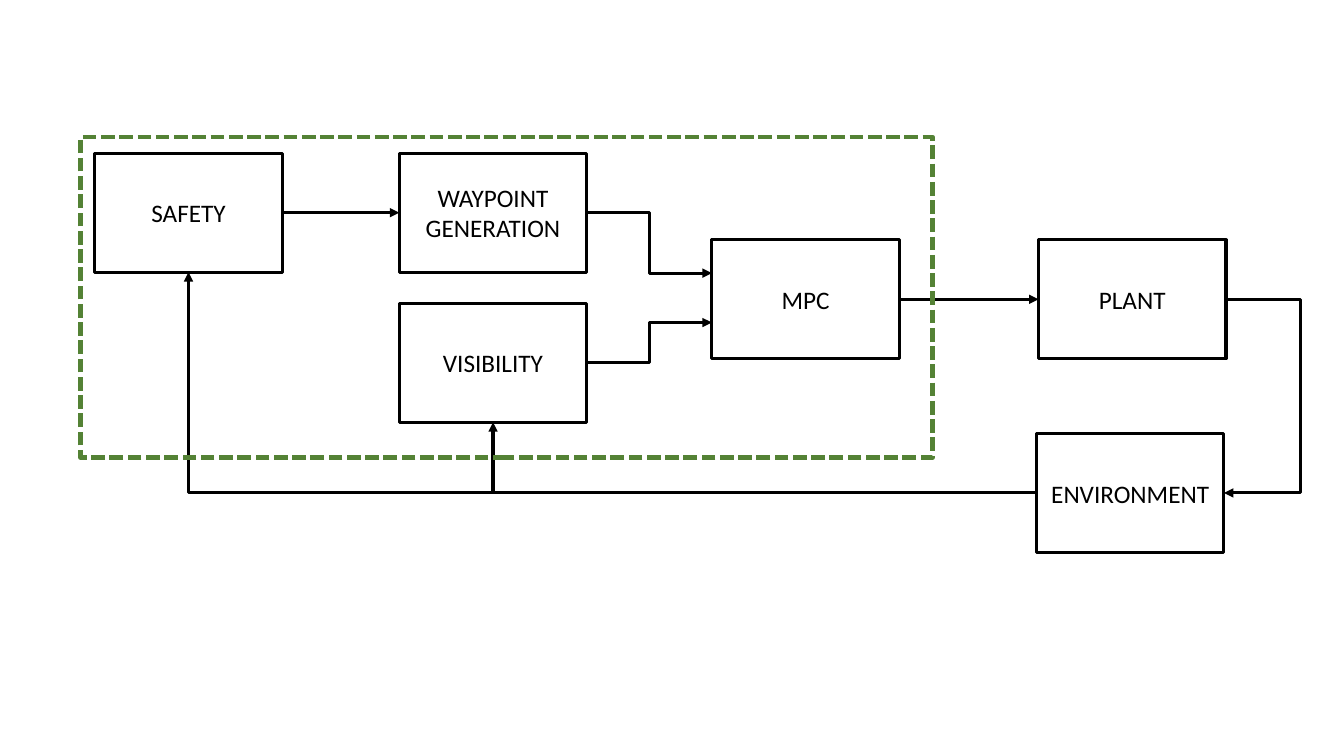
from lxml.etree import SubElement as Sub
from pptx import Presentation
from pptx.dml.color import RGBColor
from pptx.enum.dml import MSO_LINE as Dash
from pptx.enum.shapes import MSO_CONNECTOR as Link, MSO_SHAPE as Form
from pptx.enum.text import MSO_ANCHOR as Anchor, PP_ALIGN as Align
from pptx.oxml.ns import qn
from pptx.util import Inches, Pt

BLACK = RGBColor(0x00, 0x00, 0x00)
WHITE = RGBColor(0xFF, 0xFF, 0xFF)
GREEN = RGBColor(0x54, 0x82, 0x35)

WIDE, HIGH = 1.86, 1.18
BOXES = {
    "PLANT": (10.3, 2.38),
    "MPC": (7.06, 2.38),
    "VISIBILITY": (3.96, 3.01),
    "WAYPOINT GENERATION": (3.96, 1.52),
    "SAFETY": (0.94, 1.52),
    "ENVIRONMENT": (10.28, 4.3),
}


def write(frame, text, font="Calibri", size=18, color=BLACK, align=Align.CENTER):
    frame.word_wrap = True
    frame.vertical_anchor = Anchor.MIDDLE
    para = frame.paragraphs[0]
    para.alignment = align
    run = para.add_run()
    run.text = text
    run.font.name = font
    run.font.size = Pt(size)
    run.font.color.rgb = color


def left(name):
    x, y = BOXES[name]
    return x, y + HIGH / 2


def right(name):
    x, y = left(name)
    return x + WIDE, y


def base(name):
    x, y = BOXES[name]
    return x + WIDE / 2, y + HIGH


class Board:
    def __init__(self, slide, color=BLACK, width=2.25):
        self.shapes = slide.shapes
        self.color = color
        self.width = width

    def rect(self, x, y, w, h, color, width):
        shape = self.shapes.add_shape(
            Form.RECTANGLE, Inches(x), Inches(y), Inches(w), Inches(h))
        shape.shadow.inherit = False
        shape.line.color.rgb = color
        shape.line.width = Pt(width)
        return shape

    def box(self, name):
        shape = self.rect(*BOXES[name], WIDE, HIGH, self.color, self.width)
        shape.fill.solid()
        shape.fill.fore_color.rgb = WHITE
        write(shape.text_frame, name)

    def frame(self, x, y, w, h):
        shape = self.rect(x, y, w, h, GREEN, 3.25)
        shape.fill.background()
        shape.line.dash_style = Dash.SQUARE_DOT

    def arrow(self, start, end, kind=Link.STRAIGHT):
        ends = [Inches(n) for n in (*start, *end)]
        wire = self.shapes.add_connector(kind, *ends)
        wire.line.color.rgb = self.color
        wire.line.width = Pt(self.width)
        props = wire._element.spPr
        Sub(props.find(qn("a:ln")), qn("a:tailEnd"), type="triangle")
        Sub(props, qn("a:effectLst"))
        return props.find(qn("a:prstGeom"))

    def bend(self, start, end, via=None):
        geom = self.arrow(start, end, Link.ELBOW)
        if via is not None:
            share = round((via - start[0]) / (end[0] - start[0]) * 100000)
            guides = geom.find(qn("a:avLst"))
            if guides is None:
                guides = Sub(geom, qn("a:avLst"))
            Sub(guides, qn("a:gd"), name="adj1", fmla=f"val {share}")

    def turn(self, start, end):
        self.arrow(start, end, Link.ELBOW).set("prst", "bentConnector2")


def main():
    deck = Presentation()
    deck.slide_width, deck.slide_height = Inches(13.33), Inches(7.5)
    board = Board(deck.slides.add_slide(deck.slide_layouts[6]))

    for name in BOXES:
        board.box(name)

    for tail, head in (("SAFETY", "WAYPOINT GENERATION"), ("MPC", "PLANT")):
        board.arrow(right(tail), left(head))
    for tail, y in (("WAYPOINT GENERATION", 2.71), ("VISIBILITY", 3.2)):
        board.bend(right(tail), (left("MPC")[0], y))
    for head in ("VISIBILITY", "SAFETY"):
        board.turn(left("ENVIRONMENT"), base(head))
    board.bend(right("PLANT"), right("ENVIRONMENT"), via=12.9)

    board.frame(0.8, 1.36, 8.45, 3.18)
    deck.save("out.pptx")


if __name__ == "__main__":
    main()
